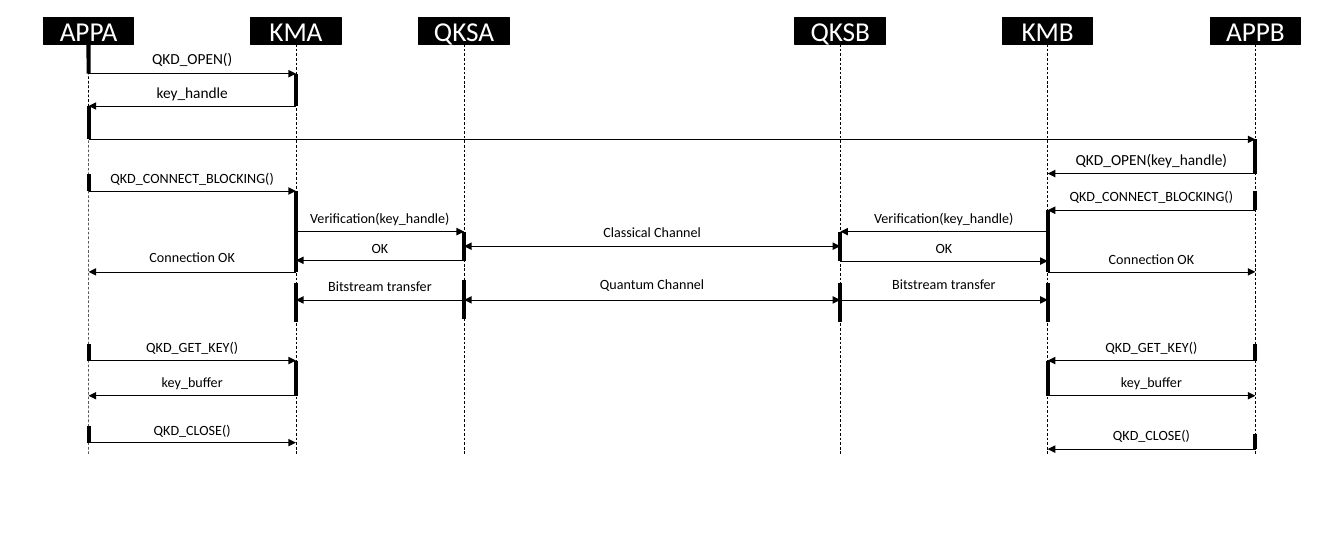
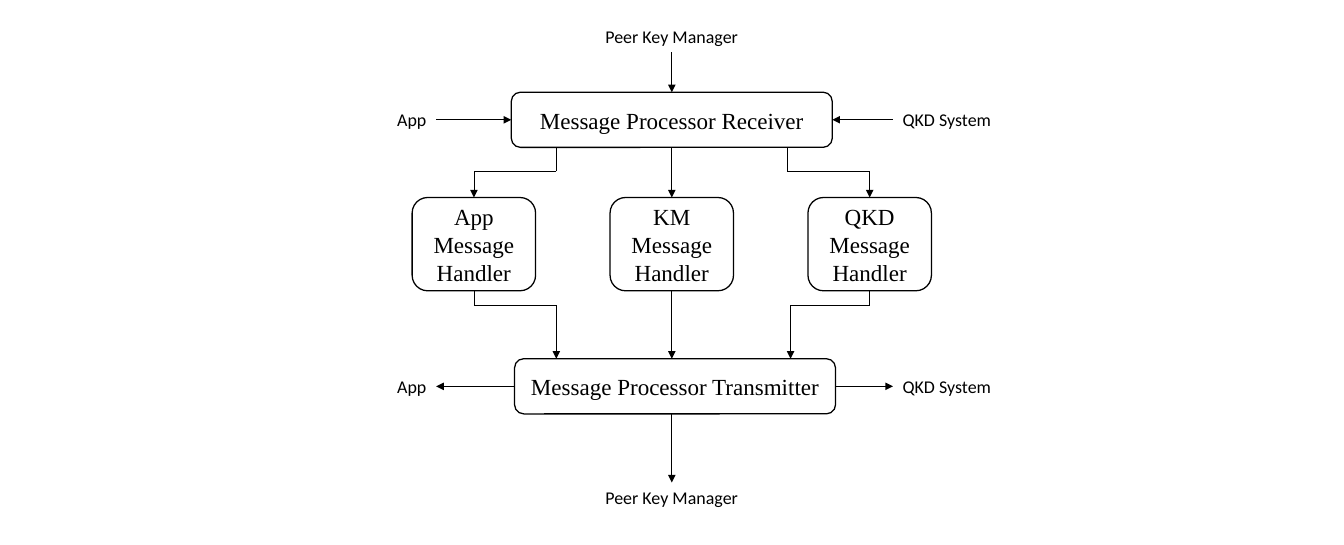
from dataclasses import dataclass
from itertools import pairwise

from lxml import etree
from pptx import Presentation
from pptx import util as u
from pptx.dml.color import RGBColor
from pptx.enum import dml, shapes, text
from pptx.oxml.ns import qn


@dataclass(frozen=True)
class Theme:
    ink: str = "000000"
    paper: str = "FFFFFF"
    sans: str = "Calibri"
    serif: str = "Times New Roman"
    header_size: float = 21.3
    processor_size: float = 18
    endpoint_size: float = 14
    call_size: float = 12
    message_size: float = 11
    thin: float = 0.5
    outline: float = 1
    bar: float = 3.25


THEME = Theme()
TOP, LEFT, BOTTOM, RIGHT = range(4)


@dataclass(frozen=True)
class Box:
    """A region of the page, in centimetres."""
    left: float
    top: float
    width: float
    height: float

    @property
    def right(self):
        return self.left + self.width

    @property
    def bottom(self):
        return self.top + self.height

    @property
    def center(self):
        return self.left + self.width / 2

    @property
    def middle(self):
        return self.top + self.height / 2

    @property
    def lengths(self):
        return [u.Cm(n) for n in (self.left, self.top, self.width, self.height)]


@dataclass(frozen=True)
class Port:
    """A connection site on a shape."""
    shape: object
    site: int


# ---- Shared helpers ----

def write(shape, words, *, size, font=THEME.sans, color=THEME.ink,
          anchor=text.MSO_ANCHOR.TOP, wrap=True, grow=False):
    frame = shape.text_frame
    frame.word_wrap = wrap
    frame.vertical_anchor = anchor
    if grow:
        frame.auto_size = text.MSO_AUTO_SIZE.SHAPE_TO_FIT_TEXT
    para = frame.paragraphs[0]
    para.alignment = text.PP_ALIGN.CENTER
    span = para.add_run()
    span.text = words
    span.font.size = u.Pt(size)
    span.font.name = font
    span.font.color.rgb = RGBColor.from_string(color)


def add_panel(page, box, words, *, kind=shapes.MSO_SHAPE.RECTANGLE,
              fill=THEME.paper, line=THEME.ink, **text_format):
    panel = page.shapes.add_shape(kind, *box.lengths)
    panel.shadow.inherit = False
    panel.fill.solid()
    panel.fill.fore_color.rgb = RGBColor.from_string(fill)
    if line:
        panel.line.color.rgb = RGBColor.from_string(line)
        panel.line.width = u.Pt(THEME.outline)
    else:
        panel.line.fill.background()
    write(panel, words, **text_format)
    return panel


def add_line(page, start, end, *, width=THEME.thin, dashed=False, arrows=()):
    """Draw from start to end; each is a point in centimetres or a Port."""
    start_joined, end_joined = isinstance(start, Port), isinstance(end, Port)
    points = [(0, 0) if isinstance(place, Port) else place for place in (start, end)]
    line = page.shapes.add_connector(
        shapes.MSO_CONNECTOR.STRAIGHT, *[u.Cm(n) for point in points for n in point])
    if start_joined:
        line.begin_connect(start.shape, start.site)
    if end_joined:
        line.end_connect(end.shape, end.site)
    line.line.color.rgb = RGBColor.from_string(THEME.ink)
    line.line.width = u.Pt(width)
    if dashed:
        line.line.dash_style = dml.MSO_LINE.DASH
    properties = line._element.spPr
    outline = properties.find(qn("a:ln"))
    for tip in arrows:
        etree.SubElement(outline, qn(f"a:{tip}"), type="triangle")
    etree.SubElement(properties, qn("a:effectLst"))


ARROW = ("tailEnd",)
BOTH_WAYS = ("headEnd", "tailEnd")


def add_route(page, *stops):
    """Join the stops by straight pieces, with an arrow on the last."""
    pieces = list(pairwise(stops))
    for start, end in pieces[:-1]:
        add_line(page, start, end)
    add_line(page, *pieces[-1], arrows=ARROW)


# ---- Sequence diagram ----

HEADER_WIDTH, HEADER_HEIGHT = 2.49, 0.74

# Lifeline centres, from the left of the diagram
ACTORS = {"APPA": 1.25, "KMA": 6.96, "QKSA": 11.59,
          "QKSB": 21.95, "KMB": 27.66, "APPB": 33.38}

# Active spans, from the foot of the headers; None starts at the header
ACTIVE = {
    "APPA": [(None, 0.81), (1.7, 2.62), (3.56, 4.04), (8.25, 8.71), (10.51, 10.97)],
    "KMA": [(0.81, 1.7), (4.04, 6.27), (6.58, 7.64), (8.71, 9.68)],
    "QKSA": [(5.16, 5.97), (6.5, 7.57)],
    "QKSB": [(5.16, 5.97), (6.58, 7.64)],
    "KMB": [(4.57, 6.27), (6.58, 7.64), (8.71, 9.68)],
    "APPB": [(2.62, 3.56), (4.04, 4.57), (8.25, 8.71), (10.72, 11.15)],
}

# Sender, receiver, height of arrow, words, rise of the label above the arrow
CALLS = [
    ("APPA", "KMA", 0.81, "QKD_OPEN()", 0.79),
    ("KMA", "APPA", 1.7, "key_handle", 0.76),
    ("APPB", "KMB", 3.56, "QKD_OPEN(key_handle)", 0.76),
]
MESSAGES = [
    ("APPA", "KMA", 4.04, "QKD_CONNECT_BLOCKING()", 0.71),
    ("APPB", "KMB", 4.57, "QKD_CONNECT_BLOCKING()", 0.74),
    ("KMA", "QKSA", 5.16, "Verification(key_handle)", 0.74),
    ("KMB", "QKSB", 5.16, "Verification(key_handle)", 0.74),
    ("QKSA", "KMA", 5.95, "OK", 0.71),
    ("QKSB", "KMB", 5.97, "OK", 0.71),
    ("KMA", "APPA", 6.27, "Connection OK", 0.76),
    ("KMB", "APPB", 6.27, "Connection OK", 0.71),
    ("QKSA", "KMA", 7.04, "Bitstream transfer", 0.74),
    ("QKSB", "KMB", 7.04, "Bitstream transfer", 0.79),
    ("APPA", "KMA", 8.71, "QKD_GET_KEY()", 0.74),
    ("APPB", "KMB", 8.71, "QKD_GET_KEY()", 0.74),
    ("KMA", "APPA", 9.68, "key_buffer", 0.74),
    ("KMB", "APPB", 9.68, "key_buffer", 0.74),
    ("APPA", "KMA", 10.97, "QKD_CLOSE()", 0.71),
    ("APPB", "KMB", 11.15, "QKD_CLOSE()", 0.74),
]
CHANNELS = [
    ("QKSA", "QKSB", 5.56, "Classical Channel", 0.76),
    ("QKSA", "QKSB", 7.04, "Quantum Channel", 0.79),
]


def draw_lifelines(page, box):
    foot = box.top + HEADER_HEIGHT
    for name, offset in ACTORS.items():
        x = box.left + offset
        header = add_panel(
            page, Box(x - HEADER_WIDTH / 2, box.top, HEADER_WIDTH, HEADER_HEIGHT), name,
            fill=THEME.ink, color=THEME.paper, size=THEME.header_size,
            anchor=text.MSO_ANCHOR.MIDDLE)
        add_line(page, Port(header, BOTTOM), (x, box.bottom), dashed=True)
        for start, end in ACTIVE[name]:
            begin = Port(header, BOTTOM) if start is None else (x, foot + start)
            add_line(page, begin, (x, foot + end), width=THEME.bar)


def draw_messages(page, box, messages, *, size, arrows=ARROW):
    label_width, label_height = 5.36, 0.74
    for sender, receiver, height, words, rise in messages:
        start, end = box.left + ACTORS[sender], box.left + ACTORS[receiver]
        y = box.top + HEADER_HEIGHT + height
        add_line(page, (start, y), (end, y), arrows=arrows)
        if words:
            area = Box((start + end - label_width) / 2, y - rise, label_width, label_height)
            label = page.shapes.add_textbox(*area.lengths)
            write(label, words, size=size, grow=True)


def draw_sequence(page, box):
    draw_lifelines(page, box)
    draw_messages(page, box, [("APPA", "APPB", 2.62, "", 0)], size=THEME.call_size)
    draw_messages(page, box, CALLS, size=THEME.call_size)
    draw_messages(page, box, MESSAGES, size=THEME.message_size)
    draw_messages(page, box, CHANNELS, size=THEME.message_size, arrows=BOTH_WAYS)


# ---- Message processor diagram ----

def add_rounded(page, box, words):
    return add_panel(page, box, words, kind=shapes.MSO_SHAPE.ROUNDED_RECTANGLE,
                     size=THEME.processor_size, font=THEME.serif,
                     anchor=text.MSO_ANCHOR.MIDDLE)


def add_endpoint(page, box, words):
    return add_panel(page, box, words, line=None, size=THEME.endpoint_size,
                     wrap=False, grow=True)


def draw_processor(page, box, title, *, incoming, shift=0):
    """A processor with its three endpoints; incoming puts the peer on top."""
    width, height, label_height = 8.84, 1.52, 0.86
    top = box.bottom - height if incoming else box.top
    body = Box(box.center - width / 2 + shift, top, width, height)
    processor = add_rounded(page, body, title)

    # Endpoints
    side_top = body.middle - label_height / 2
    peer_top = box.top if incoming else box.bottom - label_height
    app = add_endpoint(page, Box(box.left + 1.23, side_top, 1.34, label_height), "App")
    system = add_endpoint(
        page, Box(box.right - 2.97, side_top, 2.97, label_height), "QKD System")
    peer = add_endpoint(
        page, Box(box.center - 2.11, peer_top, 4.22, label_height), "Peer Key Manager")

    # Arrows in or out; a shifted processor meets the peer off its middle
    peer_side = TOP if incoming else BOTTOM
    peer_port = (box.center, body.bottom) if shift else Port(processor, peer_side)
    for endpoint, site, port in (
            (app, RIGHT, Port(processor, LEFT)),
            (system, LEFT, Port(processor, RIGHT)),
            (peer, BOTTOM if incoming else TOP, peer_port)):
        ends = (Port(endpoint, site), port)
        add_line(page, *(ends if incoming else ends[::-1]), arrows=ARROW)
    return processor


def draw_handlers(page, box, receiver, *, above, below):
    """Handlers between the processors, whose edges are at above and below."""
    width, pitch = 3.4, 5.45
    upper_bend, lower_bend = box.top - 0.72, box.bottom + 0.4
    for step, name, inlet, outlet in (
            (-1, "App", -3.18, -3.18), (0, "KM", 0, 0), (1, "QKD", 3.18, 3.27)):
        x = box.center + step * pitch
        handler = add_rounded(page, Box(x - width / 2, box.top, width, box.height),
                              f"{name} Message Handler")
        entry, leave = Port(handler, TOP), Port(handler, BOTTOM)
        source, target = box.center + inlet, box.center + outlet
        if step:
            add_route(page, (source, above), (source, upper_bend), (x, upper_bend), entry)
            add_route(page, leave, (x, lower_bend), (target, lower_bend), (target, below))
        else:
            add_route(page, Port(receiver, BOTTOM), entry)
            add_route(page, leave, (target, below))


def draw_processing(page, box):
    inbound = Box(box.left, box.top, box.width, 3.48)
    handlers = Box(box.left, box.top + 4.86, box.width, 2.57)
    outbound = Box(box.left, box.bottom - 4.27, box.width, 4.27)
    receiver = draw_processor(page, inbound, "Message Processor Receiver", incoming=True)
    draw_processor(page, outbound, "Message Processor Transmitter",
                   incoming=False, shift=0.09)
    draw_handlers(page, handlers, receiver, above=inbound.bottom, below=outbound.top)


def main():
    deck = Presentation()
    deck.slide_width, deck.slide_height = u.Cm(37.01), u.Cm(15.01)
    for draw, box in ((draw_sequence, Box(1.19, 0.48, 34.63, 12.02)),
                      (draw_processing, Box(9.44, 0.58, 18.12, 13.57))):
        draw(deck.slides.add_slide(deck.slide_layouts[6]), box)
    deck.save("out.pptx")


if __name__ == "__main__":
    main()
